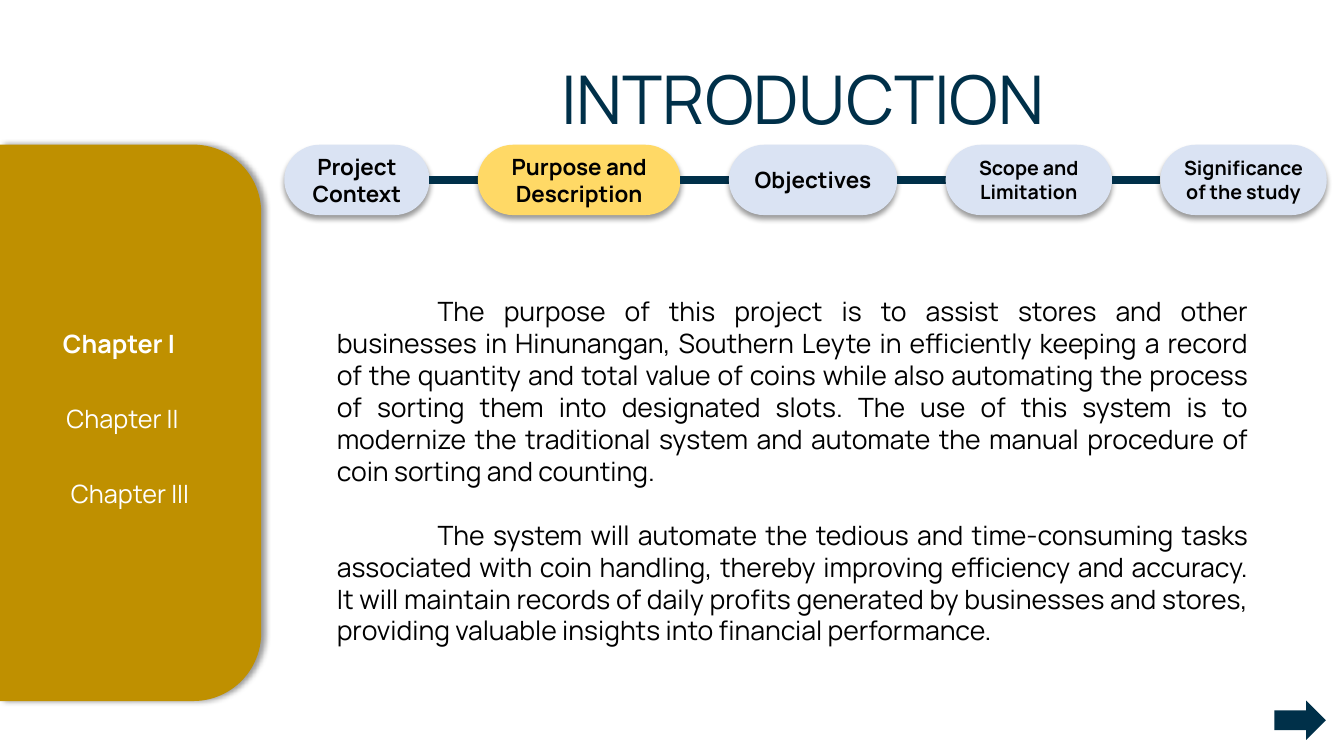
import collections

import lxml.etree
import pptx
import pptx.dml.color
import pptx.enum.shapes
import pptx.enum.text
import pptx.oxml.ns
import pptx.util

COLORS = {
    "navy": "003049",
    "gold": "BF9000",
    "yellow": "FFD966",
    "pale": "DAE3F3",
    "black": "000000",
    "white": "FFFFFF",
}
FONT = "Manrope"
SHAPES = pptx.enum.shapes.MSO_SHAPE
ALIGN = pptx.enum.text.PP_ALIGN
ANCHOR = pptx.enum.text.MSO_ANCHOR

STEPS = [
    ("Project Context", 13.93, 16, "pale"),
    ("Purpose and Description", 19.44, 16, "yellow"),
    ("Objectives", 16.15, 16, "pale"),
    ("Scope and Limitation", 15.96, 14, "pale"),
    ("Significance of the study", 15.96, 14, "pale"),
]
CHAPTERS = [
    ("Chapter I", 16.2, 58.7, True),
    ("Chapter II", 16.2, 61.4, False),
    ("Chapter III", 18.9, 61.8, False),
]
PURPOSE = [
    "The purpose of this project is to assist stores and other businesses in "
    "Hinunangan, Southern Leyte in efficiently keeping a record of the quantity "
    "and total value of coins while also automating the process of sorting them "
    "into designated slots. The use of this system is to modernize the traditional "
    "system and automate the manual procedure of coin sorting and counting.",
    "The system will automate the tedious and time-consuming tasks associated with "
    "coin handling, thereby improving efficiency and accuracy. It will maintain "
    "records of daily profits generated by businesses and stores, providing "
    "valuable insights into financial performance.",
]

Box = collections.namedtuple("Box", "left top width height")


def share(box, left, top, width, height):
    return Box(
        int(box.left + box.width * left / 100),
        int(box.top + box.height * top / 100),
        int(box.width * width / 100),
        int(box.height * height / 100),
    )


def color(name):
    return pptx.dml.color.RGBColor.from_string(COLORS[name])


def place(shape, box):
    shape.left, shape.top, shape.width, shape.height = box


def write(shape, paragraphs, size, ink="black", bold=False, align=ALIGN.CENTER,
          anchor=ANCHOR.TOP, first_indent=0, gap=0):
    frame = shape.text_frame
    frame.word_wrap = True
    frame.auto_size = pptx.enum.text.MSO_AUTO_SIZE.NONE
    frame.vertical_anchor = anchor
    for index, text in enumerate(paragraphs):
        para = frame.add_paragraph() if index else frame.paragraphs[0]
        properties = para._p.get_or_add_pPr()
        properties.set("marL", "0")
        properties.set("indent", str(first_indent))
        lxml.etree.SubElement(properties, pptx.oxml.ns.qn("a:buNone"))
        para.alignment = align
        para.line_spacing = 1.0
        para.space_before = pptx.util.Pt(gap if index else 0)
        span = para.add_run()
        span.text = text
        span.font.name = FONT
        span.font.size = pptx.util.Pt(size)
        span.font.bold = bold
        span.font.color.rgb = color(ink)


def add_shadow(shape, direction):
    effects = shape._element.spPr.find(pptx.oxml.ns.qn("a:effectLst"))
    shadow = lxml.etree.SubElement(
        effects, pptx.oxml.ns.qn("a:outerShdw"),
        blurRad=str(pptx.util.Pt(4)), dist=str(pptx.util.Pt(3)),
        dir=str(direction * 60000), algn="ctr", rotWithShape="0")
    ink = lxml.etree.SubElement(
        shadow, pptx.oxml.ns.qn("a:srgbClr"), val=COLORS["black"])
    lxml.etree.SubElement(ink, pptx.oxml.ns.qn("a:alpha"), val="40000")


def add_block(page, kind, box, fill):
    shape = page.shapes.add_shape(kind, *box)
    shape.shadow.inherit = False
    shape.fill.solid()
    shape.fill.fore_color.rgb = color(fill)
    shape.line.fill.background()
    return shape


def add_link(page, start, end, height):
    link = page.shapes.add_connector(
        pptx.enum.shapes.MSO_CONNECTOR.STRAIGHT, start, height, end, height)
    link.line.width = pptx.util.Pt(6)
    link.line.color.rgb = color("navy")
    lxml.etree.SubElement(link._element.spPr, pptx.oxml.ns.qn("a:effectLst"))


def build_heading(page, box):
    title = page.shapes.title
    place(title, box)
    write(title, ["INTRODUCTION"], 48, ink="navy")


def build_steps(page, box):
    gap = (100 - sum(step[1] for step in STEPS)) / (len(STEPS) - 1)
    left = 0
    for index, (label, width, size, fill) in enumerate(STEPS):
        area = share(box, left, 0, width, 100)
        if index:
            link = share(box, left - gap, 50, gap, 0)
            add_link(page, link.left, area.left, link.top)
        pill = add_block(page, SHAPES.ROUNDED_RECTANGLE, area, fill)
        pill.adjustments[0] = 0.5
        add_shadow(pill, 90)
        write(pill, [label], size, bold=True, anchor=ANCHOR.MIDDLE)
        left += width + gap


def build_purpose(page, box):
    body = page.placeholders[1]
    place(body, box)
    write(body, PURPOSE, 19, align=ALIGN.JUSTIFY,
          first_indent=pptx.util.Inches(1), gap=22.8)


def build_sidebar(page, box):
    turned = Box(box.left + (box.width - box.height) // 2,
                 box.top + (box.height - box.width) // 2,
                 box.height, box.width)
    panel = add_block(page, SHAPES.ROUND_2_SAME_RECTANGLE, turned, "gold")
    panel.rotation = 90
    panel.adjustments[0] = 0.26
    panel.adjustments[1] = 0
    add_shadow(panel, 0)
    for row, (label, left, width, bold) in enumerate(CHAPTERS):
        area = share(box, left, 32.16 + 13.5 * row, width, 7.25)
        chapter = page.shapes.add_textbox(*area)
        write(chapter, [label], 18, ink="white", bold=bold)


def main():
    deck = pptx.Presentation()
    deck.slide_width = pptx.util.Inches(13.33)
    deck.slide_height = pptx.util.Inches(7.5)
    page = deck.slides.add_slide(deck.slide_layouts[1])
    whole = Box(0, 0, deck.slide_width, deck.slide_height)
    build_heading(page, share(whole, 39.31, 6.93, 40.89, 12.13))
    build_steps(page, share(whole, 21.15, 19.15, 77.57, 9.3))
    build_purpose(page, share(whole, 24.31, 38.4, 69.32, 52.53))
    build_sidebar(page, share(whole, 0, 19.13, 19.43, 73.6))
    arrow = share(whole, 94.82, 92.67, 3.83, 5.2)
    add_block(page, SHAPES.RIGHT_ARROW, arrow, "navy")
    deck.save("out.pptx")


if __name__ == "__main__":
    main()
